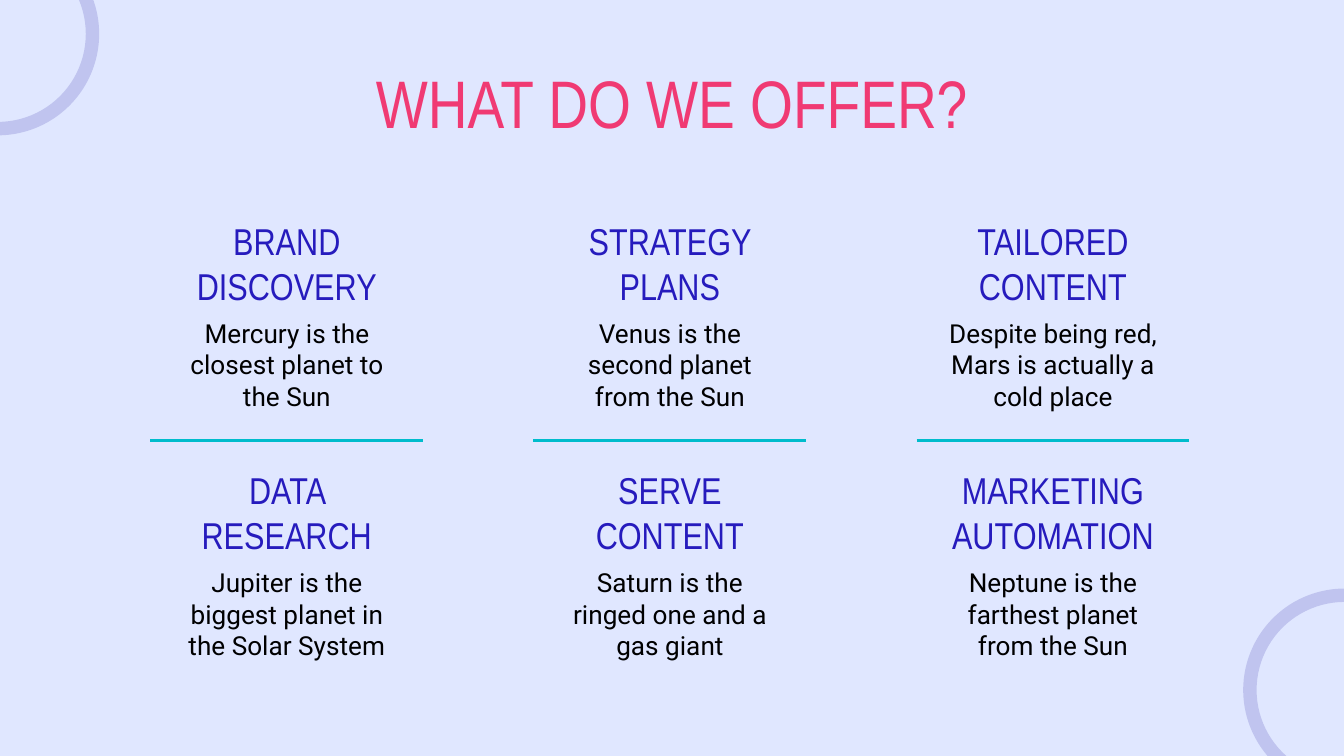
"""Build the six-service offer slide."""
from lxml import etree
from pptx import Presentation
from pptx.dml.color import RGBColor
from pptx.enum.shapes import MSO_CONNECTOR as CONN, MSO_SHAPE as SHAPE
from pptx.enum.text import MSO_ANCHOR as ANCHOR, MSO_AUTO_SIZE as FIT, PP_ALIGN as ALIGN
from pptx.oxml.ns import qn
from pptx.util import Pt


def rgb(color):
    """Return the colour for a hex string."""
    return RGBColor.from_string(color)


def write(sp, text, font, size, color, anchor=ANCHOR.TOP):
    """Put one centred run into a shape."""
    tf = sp.text_frame
    tf.word_wrap = True
    tf.auto_size = FIT.NONE
    tf.vertical_anchor = anchor
    tf.margin_left = tf.margin_right = tf.margin_top = tf.margin_bottom = Pt(7.2)
    p = tf.paragraphs[0]
    p.alignment = ALIGN.CENTER
    r = p.add_run()
    r.text = text
    r.font.name = font
    r.font.size = Pt(size)
    r.font.color.rgb = rgb(color)


HEAD_FONT, BODY_FONT = "Arial Narrow", "Roboto"

prs = Presentation()
prs.slide_width, prs.slide_height = Pt(720), Pt(405)
s = prs.slides.add_slide(prs.slide_layouts[5])
s.background.fill.solid()
s.background.fill.fore_color.rgb = rgb("E0E7FF")

for x, y in [(666, 315.3), (-55.6, -36.2)]:
    sp = s.shapes.add_shape(SHAPE.DONUT, Pt(x), Pt(y), Pt(108.7), Pt(108.7))
    sp.adjustments[0] = 0.066
    sp.shadow.inherit = False
    sp.fill.solid()
    sp.fill.fore_color.rgb = rgb("1B129C")
    sp.line.fill.background()
    clr = sp.fill._xPr.find(".//" + qn("a:srgbClr"))
    etree.SubElement(clr, qn("a:alpha")).set("val", "16000")

title = s.shapes.title
title.left, title.top, title.width, title.height = Pt(145.4), Pt(25.9), Pt(429.1), Pt(61.9)
write(title, "WHAT DO WE OFFER?", HEAD_FONT, 36, "F03A73")

services = [
    ("BRAND DISCOVERY", "Mercury is the closest planet to the Sun"),
    ("STRATEGY PLANS", "Venus is the second planet from the Sun"),
    ("TAILORED CONTENT", "Despite being red, Mars is actually a cold place"),
    ("DATA RESEARCH", "Jupiter is the biggest planet in the Solar System"),
    ("SERVE CONTENT", "Saturn is the ringed one and a gas giant"),
    ("MARKETING AUTOMATION", "Neptune is the farthest planet from the Sun"),
]
centers = [153.7 + 205.2 * col for col in range(3)]
HEAD_W, BODY_W, RULE_W = 144, 133.2, 146.2

for i, (head, body) in enumerate(services):
    row, col = divmod(i, 3)
    cx, top = centers[col], 126.6 + 133.5 * row
    sp = s.shapes.add_textbox(Pt(cx - HEAD_W / 2), Pt(top), Pt(HEAD_W), Pt(45.4))
    write(sp, head, HEAD_FONT, 20, "261BBD", ANCHOR.BOTTOM)
    sp = s.shapes.add_textbox(Pt(cx - BODY_W / 2), Pt(top + 36.3), Pt(BODY_W), Pt(66.5))
    write(sp, body, BODY_FONT, 14, "000000")

for cx in centers:
    rule = s.shapes.add_connector(
        CONN.STRAIGHT, Pt(cx - RULE_W / 2), Pt(236), Pt(cx + RULE_W / 2), Pt(236))
    rule.line.color.rgb = rgb("00BCCC")
    rule.line.width = Pt(1.5)
    etree.SubElement(rule._element.spPr, qn("a:effectLst"))

prs.save("out.pptx")
